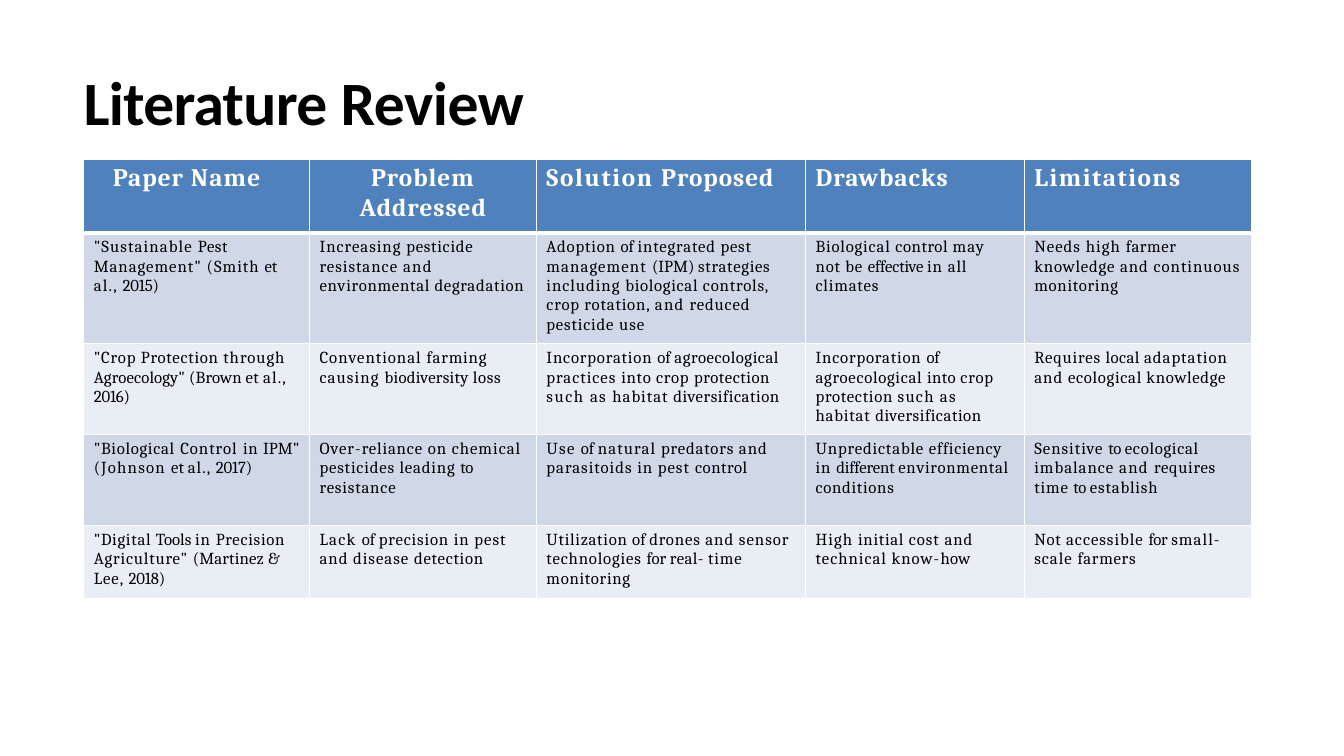
"""Build a literature review slide with a table of papers."""
from typing import NamedTuple

from lxml.etree import SubElement
from pptx import Presentation
from pptx.dml.color import RGBColor
from pptx.enum.text import MSO_ANCHOR, MSO_AUTO_SIZE, PP_ALIGN
from pptx.oxml.ns import qn
from pptx.util import Inches, Pt

WHITE = RGBColor(0xFF, 0xFF, 0xFF)
BLACK = RGBColor(0x00, 0x00, 0x00)
HEADER_BLUE = RGBColor(0x4F, 0x81, 0xBD)
BAND_DARK = RGBColor(0xD0, 0xD8, 0xE8)
BAND_LIGHT = RGBColor(0xE9, 0xED, 0xF4)

COLUMN_WIDTHS = (2.24, 2.25, 2.67, 2.17, 2.25)
ROW_HEIGHTS = (0.73, 1.1, 0.9, 0.9, 0.73)


class Span(NamedTuple):
    text: str
    spacing: float


class Style(NamedTuple):
    font: str
    size: float
    color: RGBColor
    bold: bool


class Entry(NamedTuple):
    spans: tuple[Span, ...]
    align: PP_ALIGN = PP_ALIGN.LEFT
    indent: float = 0


TITLE_STYLE = Style("Calibri", 44, BLACK, True)
HEADER_STYLE = Style("Cambria", 18, WHITE, True)
BODY_STYLE = Style("Cambria", 12, BLACK, False)


def entry(*spans: tuple[str, float], align: PP_ALIGN = PP_ALIGN.LEFT, indent: float = 0) -> Entry:
    return Entry(tuple(Span(*span) for span in spans), align, indent)


HEADINGS = (
    entry(("Paper ", 0.7), ("Name", 0.9), indent=0.19),
    entry(("Problem Addressed", 0.7), align=PP_ALIGN.CENTER),
    entry(("Solution ", 1.2), ("Proposed", 0.7)),
    entry(("Drawbacks", 0.7)),
    entry(("Limitations", 1.1)),
)

PAPERS = (
    (
        entry(('"Sustainable ', 0.8), ("Pest ", 0.4), ('Management" (Smith ', 0.7),
              ("et ", -0.2), ("al., ", 0.9), ("2015)", -0.1)),
        entry(("Increasing ", 0.7), ("pesticide ", 0.5), ("resistance ", 0.7),
              ("and ", 0.9), ("environmental degradation", 0.5)),
        entry(("Adoption ", 0.6), ("of ", 0), ("integrated ", 0.6), ("pest ", 0.5),
              ("management ", 0.8), ("(IPM) ", 0), ("strategies ", 0.5), ("including ", 0.7),
              ("biological ", 0.5), ("controls, crop rotation, ", 0.6), ("and ", 0.9),
              ("reduced pesticide ", 0.6), ("use", 0.7)),
        entry(("Biological ", 0.6), ("control ", 0.4), ("may ", 0.8), ("not be ", 0.6),
              ("effective ", -0.1), ("in ", 0.7), ("all climates", 0.6)),
        entry(("Needs ", 0.7), ("high ", 0.8), ("farmer ", 0.4), ("knowledge ", 0.6),
              ("and continuous ", 0.7), ("monitoring", 0.5)),
    ),
    (
        entry(('"Crop ', 0.6), ("Protection ", 0.5), ("through ", 0.7),
              ('Agroecology" (Brown et ', 0.1), ("al., ", 0.8), ("2016)", -0.1)),
        entry(("Conventional ", 0.7), ("farming ", 0.6), ("causing ", 0.8),
              ("biodiversity ", 0.2), ("loss", 0.5)),
        entry(("Incorporation ", 0.6), ("of ", 0), ("agroecological ", 0.4), ("practices ", 0.7),
              ("into ", 0.5), ("crop ", 0.6), ("protection ", 0.4), ("such ", 1.1),
              ("as ", 1), ("habitat ", 0.7), ("diversification", 0.4)),
        entry(("Incorporation ", 0.6), ("of ", -0.2), ("agroecological ", 0.5), ("into ", 0.3),
              ("crop ", 0.6), ("protection ", 0.5), ("such ", 0.9), ("as ", 1),
              ("habitat ", 0.6), ("diversification", 0.4)),
        entry(("Requires ", 0.6), ("local ", 0.3), ("adaptation and ", 0.7),
              ("ecological knowledge", 0.5)),
    ),
    (
        entry(('"Biological ', 0.5), ("Control ", 0.7), ("in ", 0.4), ('IPM" ', 0),
              ("(Johnson ", 0.9), ("et ", 0), ("al., ", 0.8), ("2017)", -0.1),
              align=PP_ALIGN.JUSTIFY),
        entry(("Over-", 0.7), ("reliance ", 0.6), ("on chemical ", 0.7),
              ("pesticides leading ", 0.6), ("to ", -0.2), ("resistance", 0.6)),
        entry(("Use ", 0.9), ("of ", 0), ("natural ", 0.8), ("predators ", 0.6),
              ("and parasitoids in pest ", 0.7), ("control", 0.4)),
        entry(("Unpredictable ", 0.6), ("efficiency ", 0.5), ("in ", 0.7),
              ("different ", -0.1), ("environmental conditions", 0.5)),
        entry(("Sensitive ", 0.7), ("to ", -0.2), ("ecological ", 0.5), ("imbalance ", 0.7),
              ("and ", 0.9), ("requires ", 0.5), ("time ", 0.6), ("to ", -0.2),
              ("establish", 0.6)),
    ),
    (
        entry(('"Digital ', 0.5), ("Tools ", 0), ("in ", 0.7), ("Precision ", 0.5),
              ('Agriculture" ', 0.6), ("(Martinez ", 0.1), ("& ", 0.8), ("Lee, ", 0.7),
              ("2018)", -0.1)),
        entry(("Lack ", 0.9), ("of ", 0), ("precision ", 0.6), ("in pest and disease ", 0.7),
              ("detection", 0.5)),
        entry(("Utilization ", 0.5), ("of ", 0), ("drones ", 0.6), ("and sensor ", 0.7),
              ("technologies ", 0.6), ("for ", 0), ("real- ", 0.3), ("time ", 0.6),
              ("monitoring", 0.5)),
        entry(("High ", 0.8), ("initial ", 0.5), ("cost and technical know-", 0.7), ("how", 0.2)),
        entry(("Not ", 0.5), ("accessible ", 0.7), ("for ", -0.2), ("small-", 0.8),
              ("scale ", 0.7), ("farmers", 0.5)),
    ),
)

TITLE = entry(("Literature ", -0.5), ("Review", -0.3))


def write(paragraph, content: Entry, style: Style) -> None:
    paragraph.alignment = content.align
    for span in content.spans:
        run = paragraph.add_run()
        run.text = span.text
        run.font.name = style.font
        run.font.size = Pt(style.size)
        run.font.bold = style.bold
        run.font.color.rgb = style.color
        run.font._element.set("spc", str(round(span.spacing * 100)))


def draw_borders(cell, bottom: float) -> None:
    properties = cell._tc.get_or_add_tcPr()
    for side, width in (("L", 1), ("R", 1), ("T", 1), ("B", bottom)):
        line = SubElement(properties, qn(f"a:ln{side}"), w=str(Pt(width)))
        SubElement(SubElement(line, qn("a:solidFill")), qn("a:srgbClr"), val=str(WHITE))


def draw_title(slide) -> None:
    title = slide.shapes.title
    title.left, title.top = Inches(0.83), Inches(0.25)
    title.width, title.height = Inches(9.95), Inches(1.13)
    frame = title.text_frame
    frame.auto_size = MSO_AUTO_SIZE.SHAPE_TO_FIT_TEXT
    frame.vertical_anchor = MSO_ANCHOR.TOP
    frame.margin_left = frame.margin_right = frame.margin_bottom = 0
    frame.margin_top = Inches(0.38)
    heading = frame.paragraphs[0]
    heading.space_before = Pt(1.3)
    write(heading, TITLE, TITLE_STYLE)


def draw_review(slide) -> None:
    rows = (HEADINGS, *PAPERS)
    review = slide.shapes.add_table(
        len(rows), len(COLUMN_WIDTHS), Inches(0.83), Inches(1.58),
        Inches(sum(COLUMN_WIDTHS)), Inches(sum(ROW_HEIGHTS))).table
    for column, width in zip(review.columns, COLUMN_WIDTHS):
        column.width = Inches(width)
    for index, (row, height, entries) in enumerate(zip(review.rows, ROW_HEIGHTS, rows)):
        row.height = Inches(height)
        is_header = index == 0
        band = HEADER_BLUE if is_header else BAND_DARK if index % 2 else BAND_LIGHT
        for cell, content in zip(row.cells, entries):
            draw_borders(cell, 3 if is_header else 1)
            cell.fill.solid()
            cell.fill.fore_color.rgb = band
            cell.margin_left = Inches(0.1 + content.indent)
            write(cell.text_frame.paragraphs[0], content,
                  HEADER_STYLE if is_header else BODY_STYLE)


def main() -> None:
    deck = Presentation()
    deck.slide_width, deck.slide_height = Inches(13.33), Inches(7.5)
    slide = deck.slides.add_slide(deck.slide_layouts[5])
    draw_title(slide)
    draw_review(slide)
    deck.save("out.pptx")


if __name__ == "__main__":
    main()
